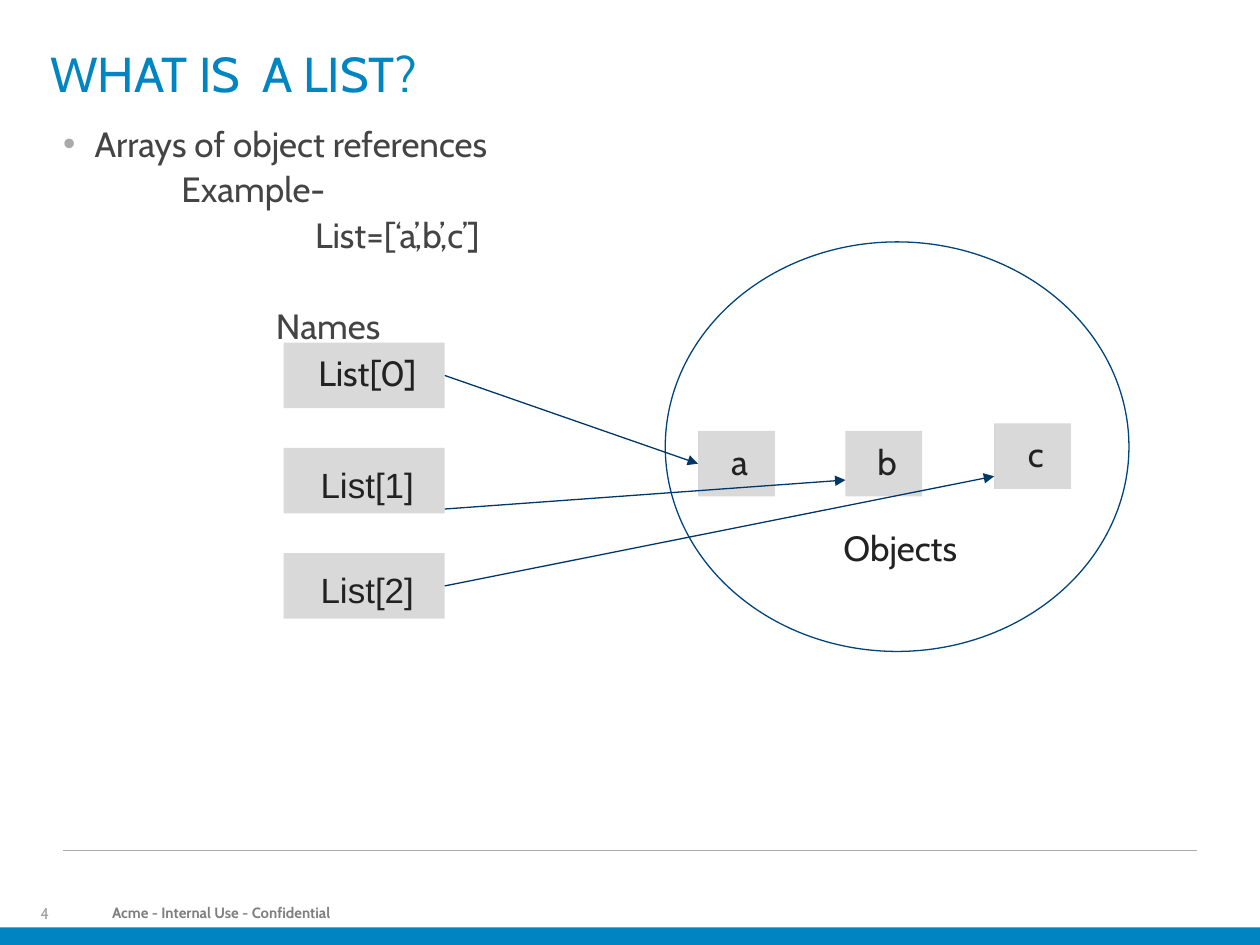
from dataclasses import dataclass

from lxml import etree
from pptx import Presentation
from pptx.dml.color import RGBColor
from pptx.enum.shapes import MSO_CONNECTOR, MSO_SHAPE
from pptx.enum.text import MSO_ANCHOR, MSO_AUTO_SIZE, PP_ALIGN
from pptx.oxml.ns import qn
from pptx.util import Inches, Pt

RECT, OVAL = MSO_SHAPE.RECTANGLE, MSO_SHAPE.OVAL
STRAIGHT = MSO_CONNECTOR.STRAIGHT
TOP, MIDDLE, BOTTOM = MSO_ANCHOR.TOP, MSO_ANCHOR.MIDDLE, MSO_ANCHOR.BOTTOM
LEFT, CENTER = PP_ALIGN.LEFT, PP_ALIGN.CENTER
NO_FIT = MSO_AUTO_SIZE.NONE


@dataclass(frozen=True)
class Theme:
    font: str = "Cabin"
    alt_font: str = "Arial"
    blue: str = "0085C3"
    oval: str = "00447C"
    arrow: str = "003769"
    body: str = "444444"
    label: str = "222222"
    box: str = "D9D9D9"
    rule: str = "AAAAAA"
    footer: str = "7F7F7F"
    number: str = "A2A2A2"
    title_size: float = 28
    text_size: float = 20
    number_size: float = 9
    footer_size: float = 8.5


THEME = Theme()


def rgb(value):
    return RGBColor.from_string(value)


def place(shape, *box):
    shape.left, shape.top, shape.width, shape.height = map(Inches, box)


def set_frame(tf, anchor, left=0, top=0, right=0, bottom=0):
    tf.word_wrap = True
    tf.auto_size = NO_FIT
    tf.vertical_anchor = anchor
    tf.margin_left, tf.margin_top = Inches(left), Inches(top)
    tf.margin_right, tf.margin_bottom = Inches(right), Inches(bottom)


def style(p, size, color, align=LEFT, spacing=0.9, before=0, font=THEME.font):
    p.alignment = align
    p.line_spacing = spacing
    p.space_before = Pt(before)
    p.font.size, p.font.name = Pt(size), font
    p.font.color.rgb = rgb(color)


def set_bullet(p, indent, hanging=0, char=None):
    pPr = p._p.get_or_add_pPr()
    pPr.set("marL", str(Inches(indent)))
    pPr.set("indent", str(Inches(-hanging)))
    defaults = pPr.find(qn("a:defRPr"))
    if char:
        color = etree.Element(qn("a:buClr"))
        etree.SubElement(color, qn("a:srgbClr"), val=THEME.rule)
        marks = [color, etree.Element(qn("a:buChar"), char=char)]
    else:
        marks = [etree.Element(qn("a:buNone"))]
    for mark in marks:
        defaults.addprevious(mark)


def add_title(s, text):
    title = s.shapes.title
    place(title, 0.4, 0.4, 8.67, 0.57)
    set_frame(title.text_frame, TOP)
    p = title.text_frame.paragraphs[0]
    p.text = text
    style(p, THEME.title_size, THEME.blue)


def add_body(s, lines):
    body = s.placeholders[1]
    place(body, 0.5, 0.97, 9, 5.63)
    tf = body.text_frame
    set_frame(tf, TOP)
    tf.text = "\n".join(text for text, *_ in lines)
    for p, (_, indent, before, char) in zip(tf.paragraphs, lines):
        style(p, THEME.text_size, THEME.body, spacing=1.0, before=before)
        p.space_after = Pt(1)
        set_bullet(p, indent, 0.25 if char else 0, char)


def add_shape(s, kind, box, fill=None, line=None):
    shape = s.shapes.add_shape(kind, *map(Inches, box))
    shape.shadow.inherit = False
    if fill:
        shape.fill.solid()
        shape.fill.fore_color.rgb = rgb(fill)
    else:
        shape.fill.background()
    if line:
        shape.line.color.rgb = rgb(line)
        shape.line.width = Pt(0.75)
    else:
        shape.line.fill.background()
    return shape


def add_label(shape, text, anchor=MIDDLE, font=THEME.font, top=0, bottom=0):
    tf = shape.text_frame
    set_frame(tf, anchor, 0.2, top, 0.15, bottom)
    p = tf.paragraphs[0]
    p.text = text
    style(p, THEME.text_size, THEME.label, CENTER, font=font)


def add_line(s, start, end, color, arrow=False):
    line = s.shapes.add_connector(STRAIGHT, *map(Inches, (*start, *end)))
    line.line.color.rgb = rgb(color)
    line.line.width = Pt(0.75)
    if arrow:
        etree.SubElement(line.line._get_or_add_ln(), qn("a:tailEnd"), type="triangle")
    etree.SubElement(line._element.spPr, qn("a:effectLst"))


def add_text(s, box, text, size, color, anchor, bold=False):
    tf = s.shapes.add_textbox(*map(Inches, box)).text_frame
    set_frame(tf, anchor)
    p = tf.paragraphs[0]
    p.text = text
    style(p, size, color)
    p.font.bold = bold


def add_footer(s):
    add_text(s, (0.89, 7.18, 8, 0.15), "Acme - Internal Use - Confidential",
             THEME.footer_size, THEME.footer, MIDDLE, bold=True)
    add_text(s, (0.32, 7.19, 0.29, 0.13), "4",
             THEME.number_size, THEME.number, MIDDLE)
    add_shape(s, RECT, (0, 7.36, 10, 0.14), THEME.blue)
    add_line(s, (0.5, 6.75), (9.5, 6.75), THEME.rule)


def add_diagram(s):
    name_left, name_width, height = 2.25, 1.28, 0.52
    fonts = (THEME.font, THEME.alt_font, THEME.alt_font)
    for i, font in enumerate(fonts):
        box = add_shape(s, RECT, (name_left, 2.72 + 0.835 * i, name_width, height), THEME.box)
        add_label(box, f"List[{i}]", font=font, top=0 if i == 0 else 0.1)

    objects = (("a", 5.54, 3.42), ("b", 6.71, 3.42), ("c", 7.89, 3.36))
    for text, left, top in objects:
        add_label(add_shape(s, RECT, (left, top, 0.61, height), THEME.box), text)

    oval = add_shape(s, OVAL, (5.28, 1.92, 3.68, 3.25), line=THEME.oval)
    add_label(oval, "Objects", BOTTOM, bottom=0.18)

    arrow_ends = ((2.98, 3.68), (4.04, 3.81), (4.65, 3.78))
    for (_, left, _), (start, end) in zip(objects, arrow_ends):
        add_line(s, (name_left + name_width, start), (left, end), THEME.arrow, arrow=True)


def main():
    prs = Presentation()
    prs.slide_width, prs.slide_height = Inches(10), Inches(7.5)
    s = prs.slides.add_slide(prs.slide_layouts[1])
    add_footer(s)
    add_body(s, (
        ("Arrays of object references", 0.25, 1, "•"),
        ("Example-", 0.94, 1, None),
        ("List=[‘a’,b’,c’]", 2.0, 1, None),
        ("Names", 1.69, 27, None),
    ))
    add_title(s, "WHAT IS  A LIST?")
    add_diagram(s)
    prs.save("out.pptx")


if __name__ == "__main__":
    main()
